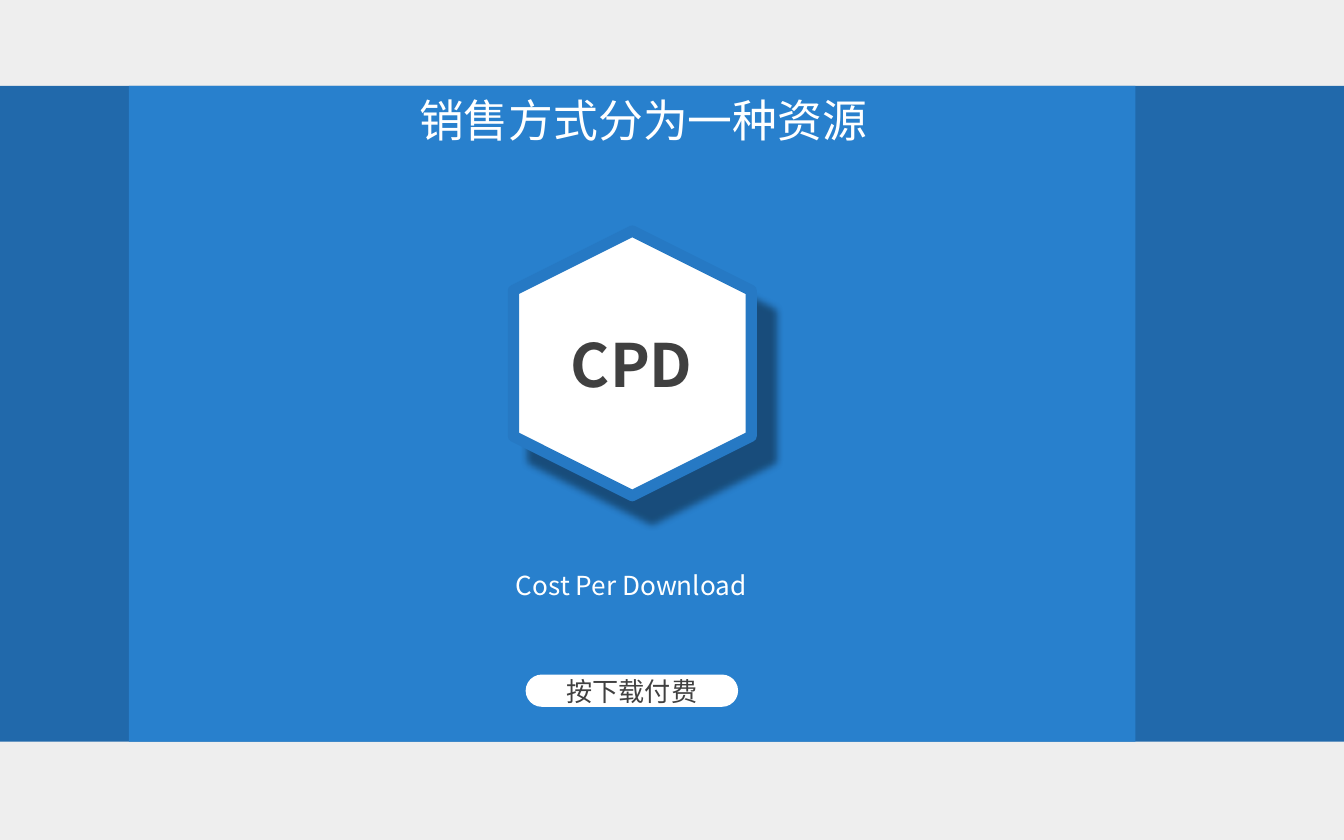
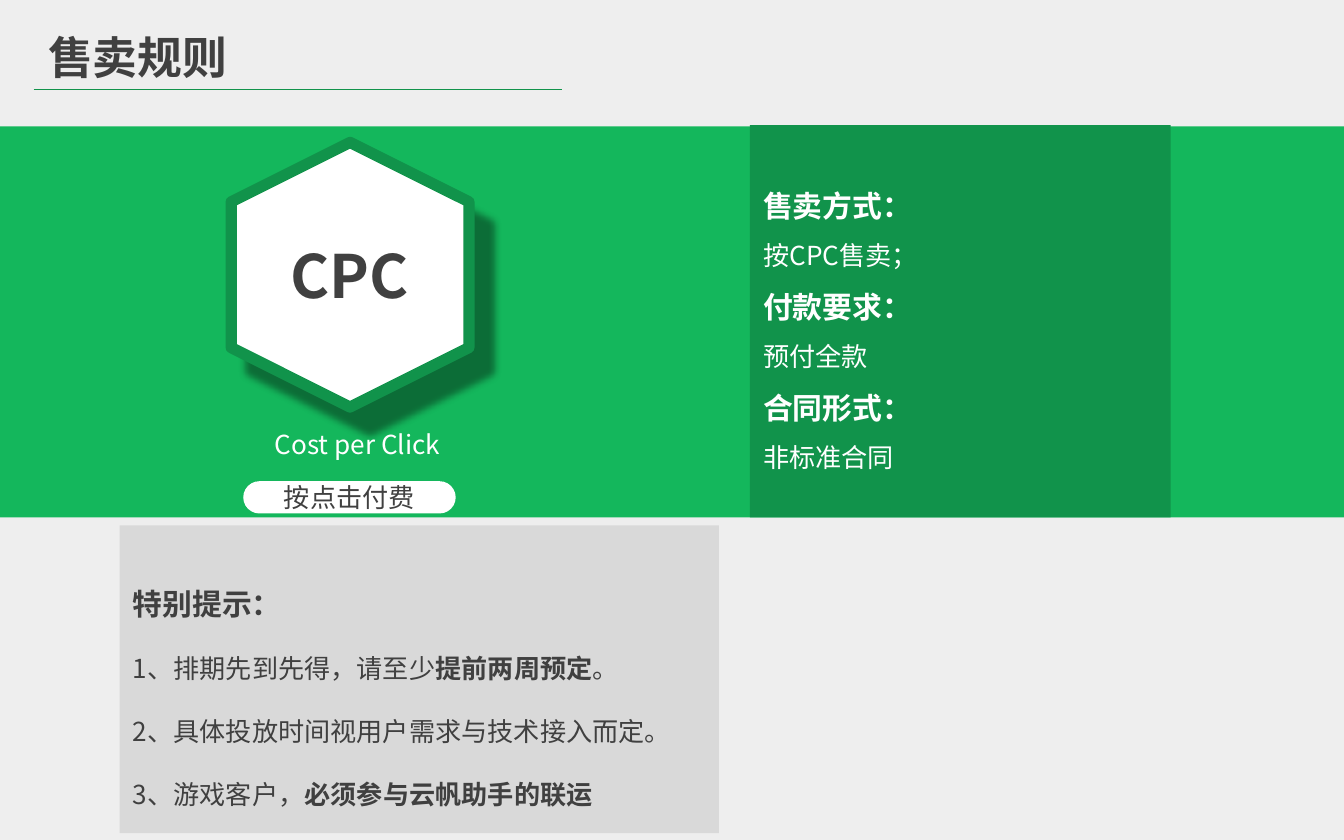
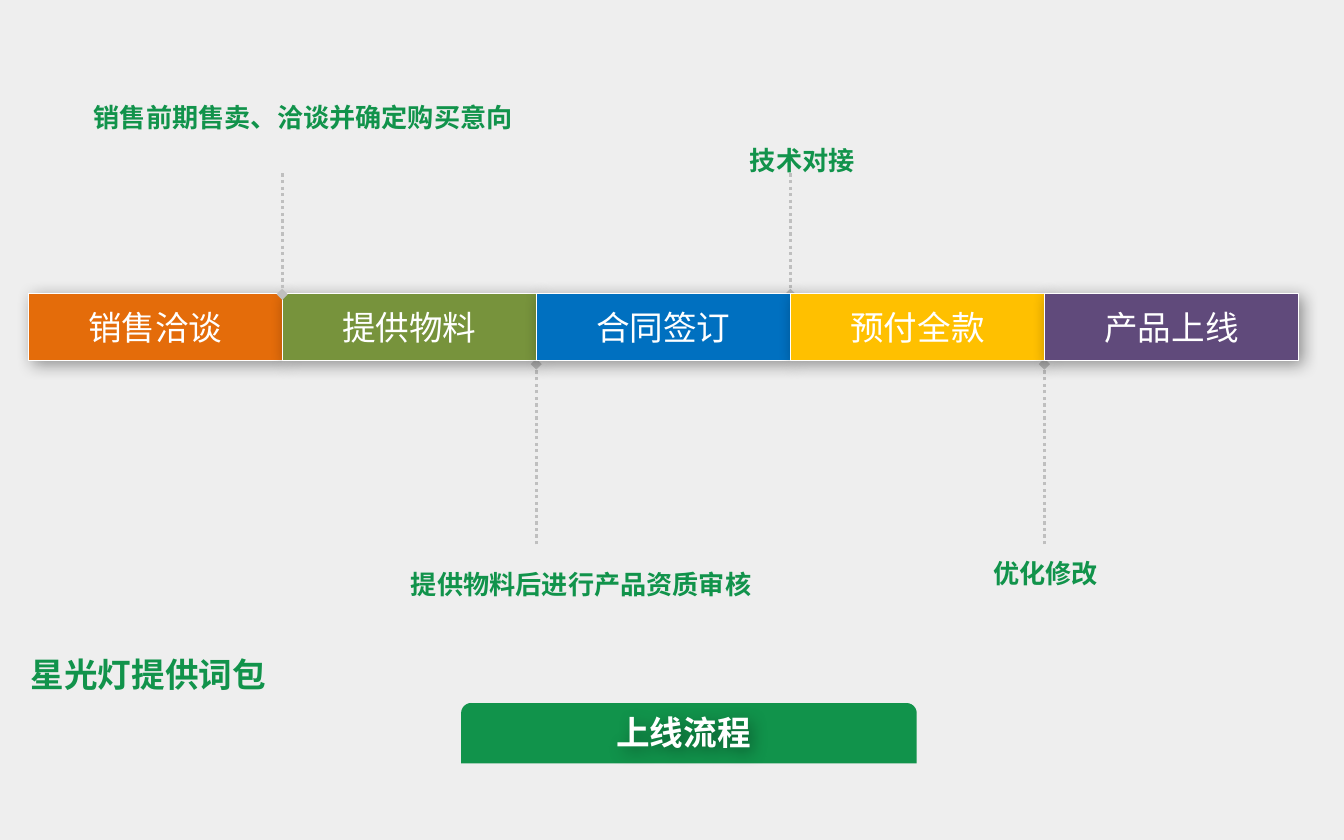
from dataclasses import dataclass

from lxml import etree
from pptx import Presentation
from pptx.dml.color import RGBColor
from pptx.enum.dml import MSO_LINE
from pptx.enum.shapes import MSO_CONNECTOR, MSO_SHAPE
from pptx.enum.text import MSO_ANCHOR, MSO_AUTO_SIZE, PP_ALIGN
from pptx.oxml.ns import qn
from pptx.util import Pt


@dataclass(frozen=True)
class Theme:
    font: str = "Noto Sans CJK SC"
    page: str = "EEEEEE"
    white: str = "FFFFFF"
    ink: str = "404040"
    panel: str = "D9D9D9"
    marker: str = "BFBFBF"
    blue: str = "2880CD"
    deep_blue: str = "2169AB"
    rim_blue: str = "2679C4"
    green: str = "14B75C"
    deep_green: str = "11934B"
    steps: tuple = ("E46C0A", "77933C", "0070C0", "FFC000", "604A7B")
    body: int = 14
    heading: int = 16
    step: int = 18
    title: int = 24
    badge: int = 32


THEME = Theme()
# Blur, distance (points) and direction (degrees)
BADGE_SHADOW = (4, 16, 50)
STEP_SHADOW = (9, 3, 45)


def rgb(value):
    return RGBColor.from_string(value)


def cast_shadow(shape, blur, distance, angle):
    """Give the shape a black outer shadow at 40 % opacity."""
    shape.shadow.inherit = False
    effects = shape._element.spPr.find(qn("a:effectLst"))
    outer = etree.SubElement(
        effects, qn("a:outerShdw"), blurRad=str(Pt(blur)), dist=str(Pt(distance)),
        dir=str(angle * 60000), algn="tl", rotWithShape="0")
    black = etree.SubElement(outer, qn("a:srgbClr"), val="000000")
    etree.SubElement(black, qn("a:alpha"), val="40000")


def write(frame, *paragraphs, size=THEME.body, color=THEME.ink, bold=False,
          align=PP_ALIGN.LEFT, spacing=None):
    """Fill a frame; a paragraph is a string or a list of (text, size, bold) runs."""
    frame.word_wrap = True
    for index, content in enumerate(paragraphs):
        paragraph = frame.add_paragraph() if index else frame.paragraphs[0]
        paragraph.alignment = align
        paragraph.line_spacing = spacing
        runs = [(content, size, bold)] if isinstance(content, str) else content
        for text, run_size, run_bold in runs:
            run = paragraph.add_run()
            run.text = text
            run.font.size = Pt(run_size)
            run.font.bold = run_bold
            run.font.color.rgb = rgb(color)
            run.font.name = THEME.font
            etree.SubElement(run._r.rPr, qn("a:ea"), typeface=THEME.font)


def heading(text):
    return [(text, THEME.heading, True)]


def plain(text):
    return (text, THEME.body, False)


def strong(text):
    return (text, THEME.body, True)


class Deck:
    def __init__(self):
        self.presentation = Presentation()
        self.presentation.slide_width = Pt(720)
        self.presentation.slide_height = Pt(450)
        backdrop = self.presentation.slide_master.background.fill
        backdrop.solid()
        backdrop.fore_color.rgb = rgb(THEME.page)
        self.slide = None

    def new_slide(self):
        self.slide = self.presentation.slides.add_slide(self.presentation.slide_layouts[6])

    def shape(self, left, top, width, height, fill, kind=MSO_SHAPE.RECTANGLE,
              line=None, line_width=0, shadow=None):
        shape = self.slide.shapes.add_shape(kind, Pt(left), Pt(top), Pt(width), Pt(height))
        shape.fill.solid()
        shape.fill.fore_color.rgb = rgb(fill)
        if line:
            shape.line.color.rgb = rgb(line)
            shape.line.width = Pt(line_width)
        else:
            shape.line.fill.background()
        shape.shadow.inherit = False
        if shadow:
            cast_shadow(shape, *shadow)
        shape.text_frame.vertical_anchor = MSO_ANCHOR.MIDDLE
        return shape

    def text(self, left, top, width, height, content, **style):
        box = self.slide.shapes.add_textbox(Pt(left), Pt(top), Pt(width), Pt(height))
        write(box.text_frame, content, **style)
        box.text_frame.auto_size = MSO_AUTO_SIZE.SHAPE_TO_FIT_TEXT
        return box

    def line(self, start, end, color, width):
        line = self.slide.shapes.add_connector(
            MSO_CONNECTOR.STRAIGHT, *(Pt(value) for value in (*start, *end)))
        line.line.color.rgb = rgb(color)
        line.line.width = Pt(width)
        etree.SubElement(line._element.spPr, qn("a:effectLst"))
        return line

    def marker(self, x, start, end):
        """Dotted vertical line that ends in a diamond on the step bar."""
        marker = self.line((x, start), (x, end), THEME.marker, 1.75)
        marker.line.dash_style = MSO_LINE.ROUND_DOT
        etree.SubElement(marker.line._get_or_add_ln(), qn("a:tailEnd"), type="diamond")

    def badge(self, left, top, acronym, rim):
        hexagon = self.shape(left, top, 141.8, 127.4, THEME.white, MSO_SHAPE.HEXAGON,
                             line=rim, line_width=6, shadow=BADGE_SHADOW)
        hexagon.rotation = 90
        self.text(left + 8, top + 41, 125.3, 46, acronym, size=THEME.badge,
                  bold=True, align=PP_ALIGN.CENTER)

    def pill(self, left, top, caption):
        pill = self.shape(left, top, 113.8, 17.3, THEME.white, MSO_SHAPE.ROUNDED_RECTANGLE)
        pill.adjustments[0] = 0.5
        write(pill.text_frame, caption, align=PP_ALIGN.CENTER)


def build_sales_model(deck):
    deck.new_slide()
    deck.shape(0, 46, 720, 351.3, THEME.deep_blue)
    deck.shape(69.1, 46, 539.2, 351.3, THEME.blue)
    deck.badge(267.8, 131, "CPD", THEME.rim_blue)
    deck.text(217.4, 46, 287.3, 36, "销售方式分为一种资源", size=THEME.title, color=THEME.white)
    deck.pill(281.6, 361.4, "按下载付费")
    deck.text(242.6, 301.7, 191.5, 24.5, "Cost Per Download", color=THEME.white,
              align=PP_ALIGN.CENTER)


def build_sales_rules(deck):
    deck.new_slide()
    deck.shape(0, 67.7, 720, 209.5, THEME.green)
    deck.badge(116.6, 83.5, "CPC", THEME.deep_green)
    deck.pill(130.3, 257.8, "按点击付费")
    deck.text(116.6, 226.1, 149.8, 24.5, "Cost per Click", color=THEME.white,
              align=PP_ALIGN.CENTER)

    terms = deck.shape(401.8, 67, 225.4, 210.2, THEME.deep_green)
    write(terms.text_frame,
          heading("售卖方式："), "按CPC售卖；",
          heading("付款要求："), "预付全款",
          heading("合同形式："), "非标准合同",
          color=THEME.white, spacing=1.5)

    notice = deck.shape(64.1, 281.5, 321.1, 164.9, THEME.panel)
    write(notice.text_frame,
          heading("特别提示："),
          [plain("1、排期先到先得，请至少"), strong("提前两周预定"), plain("。")],
          "2、具体投放时间视用户需求与技术接入而定。",
          [plain("3、游戏客户，"), strong("必须参与云帆助手的联运")],
          spacing=2.0)

    deck.text(18.7, 12.2, 358.6, 36, "售卖规则", size=THEME.title, bold=True)
    deck.line((18, 47.7), (301, 47.7), THEME.deep_green, 0.5)


def build_launch_process(deck):
    deck.new_slide()
    left, top, width, height = 15.1, 157, 136.1, 36
    above, below = (92.9, 157.7), (291.6, 195.1)

    def boundary(number):
        return left + number * width

    for number, (x, y, note_width, note) in enumerate((
            (43.2, 47.5, 266.4, "销售前期售卖、洽谈并确定购买意向"),
            (213.1, 297.4, 198.7, "提供物料后进行产品资质审核"),
            (394.6, 70.6, 113.8, "技术对接"),
            (524.9, 291.6, 113.8, "优化修改")), start=1):
        if number > 1:
            deck.marker(boundary(number), *(above if number % 2 else below))
        deck.text(x, y, note_width, 27, note, color=THEME.deep_green, bold=True, spacing=1.2)

    names = ("销售洽谈", "提供物料", "合同签订", "预付全款", "产品上线")
    for number, (name, color) in enumerate(zip(names, THEME.steps)):
        step = deck.shape(boundary(number), top, width, height, color,
                          line=THEME.white, line_width=0.25, shadow=STEP_SHADOW)
        write(step.text_frame, name, size=THEME.step, color=THEME.white,
              align=PP_ALIGN.CENTER)
    # The first marker lies over the bar, the others behind it
    deck.marker(boundary(1), *above)

    deck.shape(247, 376.6, 244.1, 32.4, THEME.deep_green, MSO_SHAPE.ROUND_2_SAME_RECTANGLE)
    banner = deck.text(298.1, 374.4, 136.1, 36, "上线流程", size=THEME.step,
                       color=THEME.white, bold=True, align=PP_ALIGN.CENTER)
    banner.text_frame.auto_size = MSO_AUTO_SIZE.NONE
    banner.text_frame.vertical_anchor = MSO_ANCHOR.MIDDLE
    cast_shadow(banner, *STEP_SHADOW)
    deck.text(9.4, 336.2, 175.7, 36, "星光灯提供词包", size=THEME.step,
              color=THEME.deep_green, bold=True, spacing=1.5)


def main():
    deck = Deck()
    build_sales_model(deck)
    build_sales_rules(deck)
    build_launch_process(deck)
    deck.presentation.save("out.pptx")


if __name__ == "__main__":
    main()
